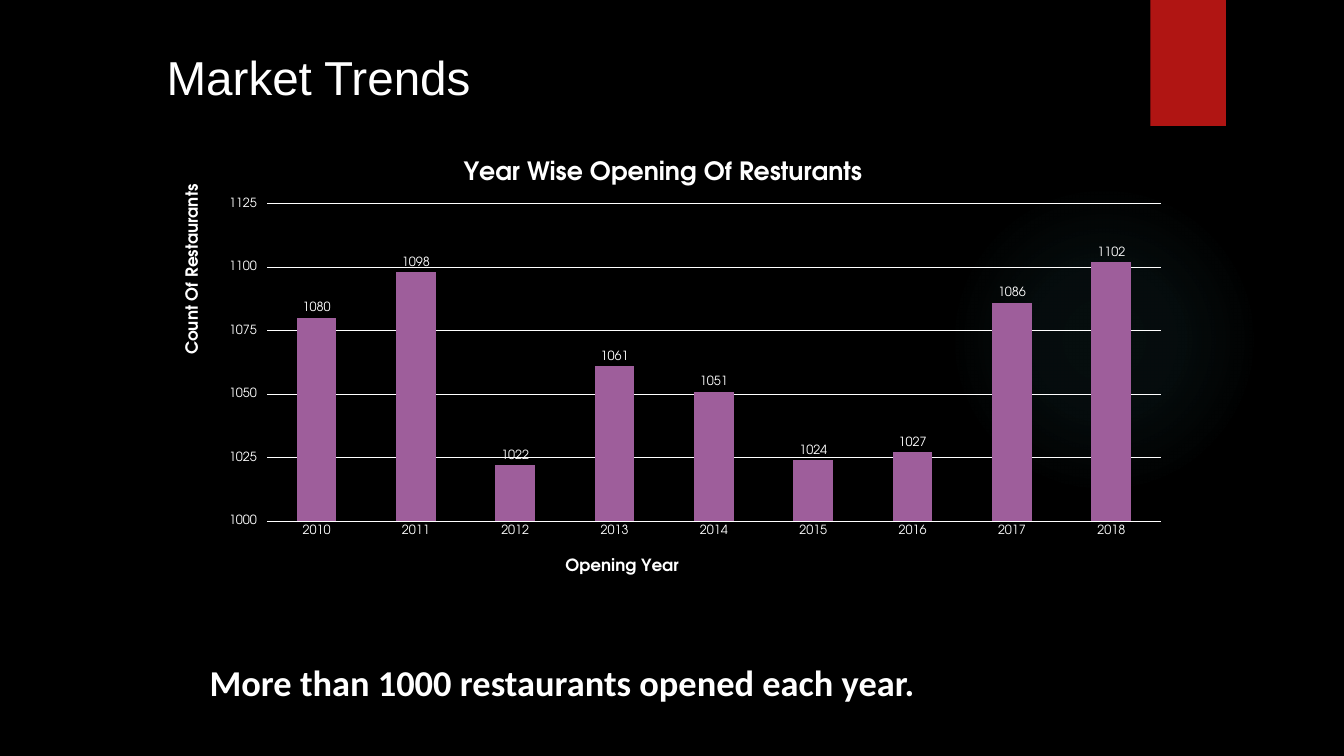
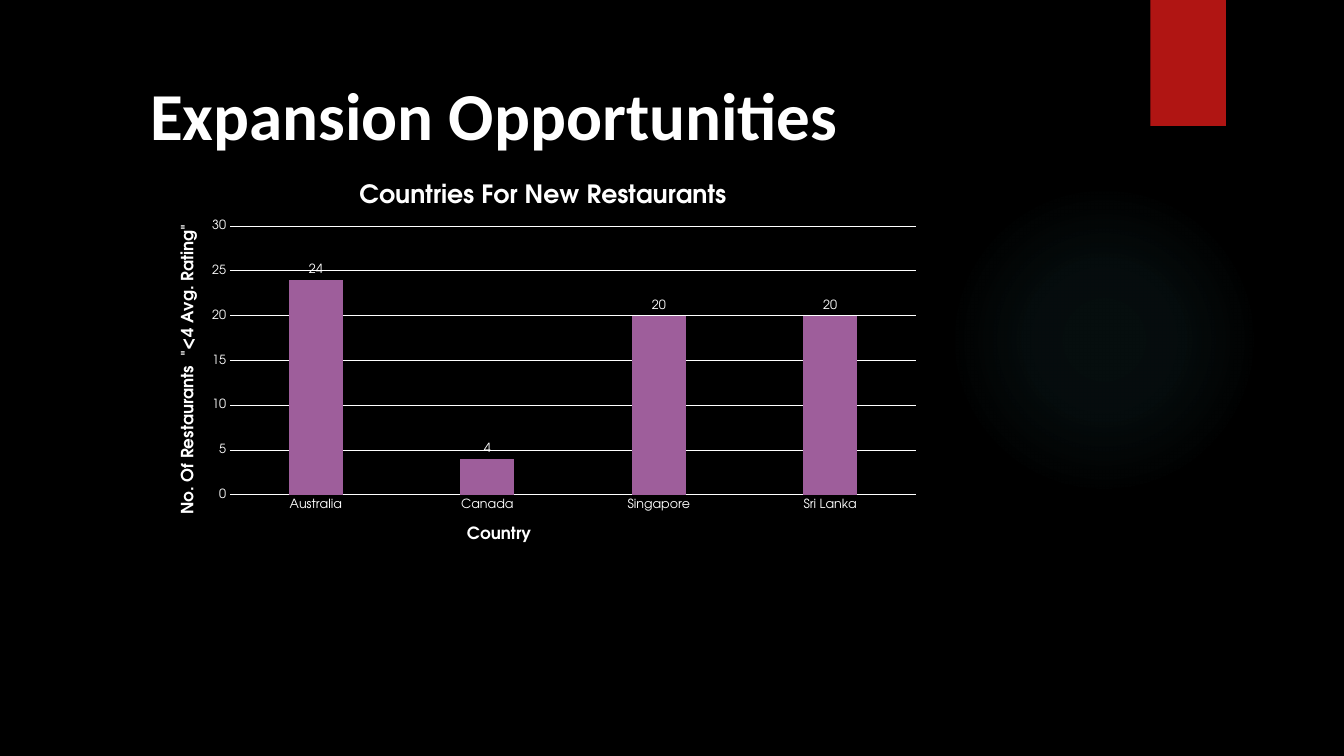
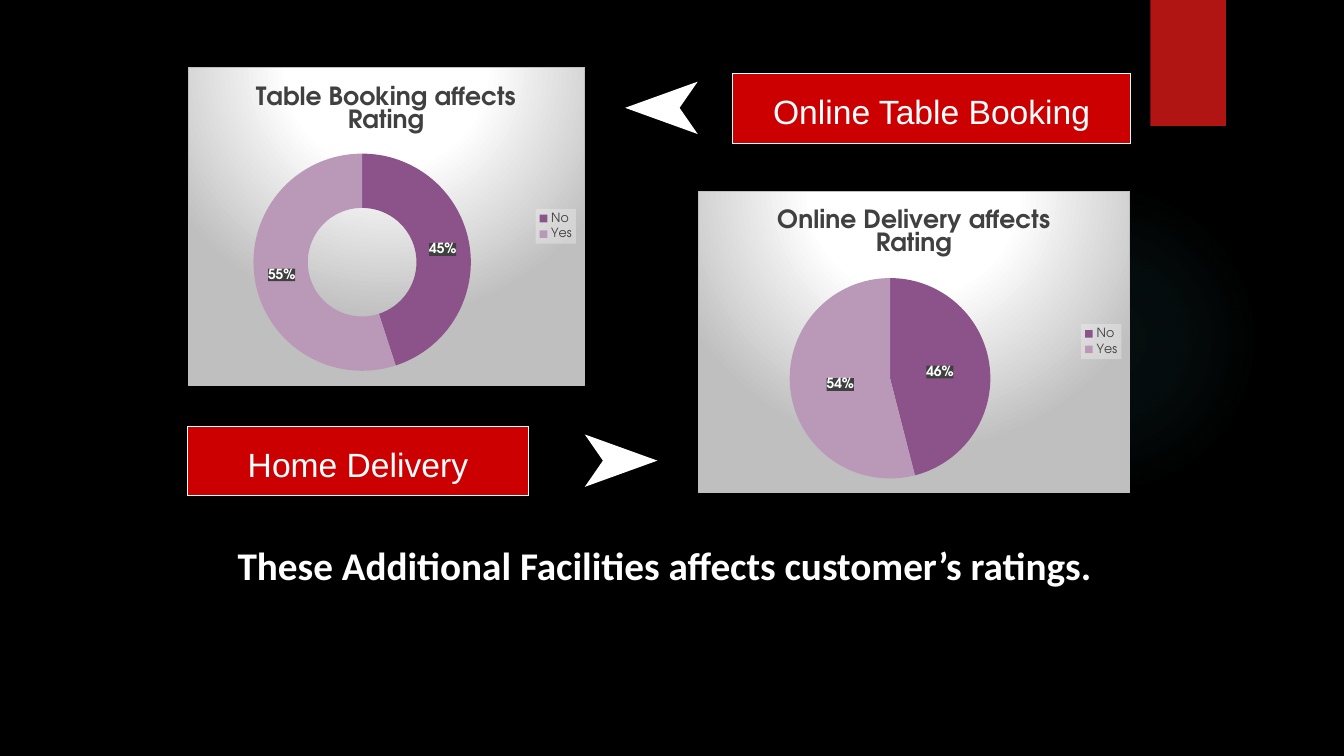
from lxml import etree
from pptx import Presentation
from pptx import util as u
from pptx.chart import data as chart_data
from pptx.dml import color as dml
from pptx.enum import chart as kinds
from pptx.enum import shapes, text
from pptx.oxml import ns

WHITE, BLACK, INK = "FFFFFF", "000000", "404040"
RIBBON, LABEL_RED, GLOW = "B01513", "CC0000", "50B9C1"
BAR, SLICES, CARD_EDGE = "9E5E9B", ("8C538A", "BA99B8"), "BFBFBF"
SANS, BODY, CHART_FONT = "Arial", "Calibri", "TeX Gyre Adventor"
A_NS = "http://schemas.openxmlformats.org/drawingml/2006/main"
C_NS = "http://schemas.openxmlformats.org/drawingml/2006/chart"


# ---- Shared helpers ----
def rgb(value):
    return dml.RGBColor.from_string(value)


def inches(box):
    return [u.Inches(length) for length in box]


def xml(markup):
    """Parse a fragment that uses the a: and c: prefixes."""
    root = etree.fromstring(f'<r xmlns:a="{A_NS}" xmlns:c="{C_NS}">{markup}</r>')
    return root[0]


def solid(value, alpha):
    return (f'<a:solidFill><a:srgbClr val="{value}"><a:alpha val="{alpha * 1000}"/>'
            '</a:srgbClr></a:solidFill>')


def radial(stops, top=50, bottom=50):
    """Circular gradient; stops are (position, colour, opacity) in percent."""
    marks = "".join(
        f'<a:gs pos="{place * 1000}"><a:srgbClr val="{value}">'
        f'<a:alpha val="{alpha * 1000}"/></a:srgbClr></a:gs>'
        for place, value, alpha in stops)
    return (f'<a:gradFill><a:gsLst>{marks}</a:gsLst><a:path path="circle">'
            f'<a:fillToRect l="50000" t="{top * 1000}" r="50000" b="{bottom * 1000}"/>'
            '</a:path></a:gradFill>')


def style_font(font, size, value=WHITE, bold=False, name=CHART_FONT):
    font.size, font.bold, font.name = u.Pt(size), bold, name
    font.color.rgb = rgb(value)


def write(frame, words, size, name, bold=False, align="CENTER", anchor="MIDDLE",
          spacing=None, top_inset=0.1):
    frame.word_wrap = True
    frame.auto_size = text.MSO_AUTO_SIZE.NONE
    frame.vertical_anchor = getattr(text.MSO_ANCHOR, anchor)
    frame.margin_left = frame.margin_right = frame.margin_bottom = u.Inches(0.1)
    frame.margin_top = u.Inches(top_inset)
    para = frame.paragraphs[0]
    para.alignment = getattr(text.PP_ALIGN, align)
    para.line_spacing = spacing
    span = para.add_run()
    span.text = words
    style_font(span.font, size, bold=bold, name=name)
    return para


def add_plain(page, kind, box, fill=None, line=None):
    shape = page.shapes.add_shape(kind, *inches(box))
    shape.shadow.inherit = False
    if fill:
        shape.fill.solid()
        shape.fill.fore_color.rgb = rgb(fill)
    else:
        shape.fill.background()
    if line:
        shape.line.color.rgb = rgb(line)
        shape.line.width = u.Pt(0.75)
    else:
        shape.line.fill.background()
    return shape


# ---- Master: black ground, glow and ribbon ----
def decorate_master(deck, page):
    master = deck.slide_master
    master.background.fill.solid()
    master.background.fill.fore_color.rgb = rgb(BLACK)

    glow = add_plain(page, shapes.MSO_SHAPE.OVAL, (9.41, 1.83, 3.08, 3.08))
    empty = glow.element.spPr.find(ns.qn("a:noFill"))
    empty.getparent().replace(
        empty, xml(radial([(0, GLOW, 7), (36, GLOW, 6), (69, GLOW, 0)])))

    ribbon = add_plain(page, shapes.MSO_SHAPE.RECTANGLE, (11.41, 0, 0.75, 1.25), RIBBON)
    effects = ribbon.element.spPr.find(ns.qn("a:effectLst"))
    effects.append(xml(
        f'<a:outerShdw blurRad="{u.Pt(3)}" dist="{u.Pt(2)}" dir="5400000">'
        f'<a:srgbClr val="{BLACK}"><a:alpha val="45000"/></a:srgbClr></a:outerShdw>'))

    for shape in (glow, ribbon):
        master.shapes.element.append(shape.element)


# ---- Text parts ----
def add_title(page, box, words, size, name, **style):
    title = page.shapes.title
    title.left, title.top, title.width, title.height = inches(box)
    write(title.text_frame, words, size, name, **style)


def add_caption(page, box, words, size, indent=0, **style):
    caption = page.shapes.add_textbox(*inches(box))
    para = write(caption.text_frame, words, size, BODY, bold=True, spacing=1.15, **style)
    if indent:
        props = para._p.get_or_add_pPr()
        props.set("marL", str(u.Inches(indent)))
        props.set("indent", "0")


def add_label(page, box, words):
    label = add_plain(page, shapes.MSO_SHAPE.RECTANGLE, box, LABEL_RED, WHITE)
    write(label.text_frame, words, 24, SANS, spacing=1.15)


def add_arrow(page, box, points_left):
    """Notched arrowhead filling the box."""
    left, top, width, height = box
    tail, tip, notch = left, left + width, left + width / 4
    if points_left:
        tail, tip, notch = tip, tail, tip - width / 4
    middle = top + height / 2
    outline = [(notch, middle), (tail, top + height), (tip, middle)]
    builder = page.shapes.build_freeform(u.Inches(tail), u.Inches(top))
    builder.add_line_segments([inches(point) for point in outline], close=True)
    arrow = builder.convert_to_shape()
    arrow.shadow.inherit = False
    arrow.fill.solid()
    arrow.fill.fore_color.rgb = rgb(WHITE)
    arrow.line.fill.background()


# ---- Chart parts ----
def lay_out(part, index, x, y, w=None, h=None):
    """Fix a chart part at fractions of the chart area."""
    for old in part.findall(ns.qn("c:layout")):
        part.remove(old)
    target = '<c:layoutTarget val="inner"/>' if w else ""
    sizes = f'<c:w val="{w}"/><c:h val="{h}"/>' if w else ""
    part.insert(index, xml(
        f'<c:layout><c:manualLayout>{target}<c:xMode val="edge"/><c:yMode val="edge"/>'
        f'<c:x val="{x}"/><c:y val="{y}"/>{sizes}</c:manualLayout></c:layout>'))


def write_chart_title(title, words, size, value=WHITE, at=None):
    span = title.text_frame.paragraphs[0].add_run()
    span.text = words
    style_font(span.font, size, value, bold=True)
    if at:
        lay_out(title._element, 1, *at)


def add_base_chart(page, kind, box, categories, values, title, plot_at,
                   title_at=None, title_color=WHITE):
    table = chart_data.CategoryChartData()
    table.categories = categories
    table.add_series("Series 1", values)
    chart = page.shapes.add_chart(kind, *inches(box), table).chart
    style_font(chart.font, 10)
    chart.has_title = True
    write_chart_title(chart.chart_title, title, 18, title_color, title_at)
    lay_out(chart.element.find(".//" + ns.qn("c:plotArea")), 0, *plot_at)
    chart.plots[0].has_data_labels = True
    return chart


def add_column_chart(page, box, categories, values, title, category_title, value_title,
                     scale, gap, overlap, places, tick="NONE"):
    """places holds the spots of plot, title, category title and value title."""
    plot_at, title_at, category_at, value_at = places
    chart = add_base_chart(page, kinds.XL_CHART_TYPE.COLUMN_CLUSTERED, box,
                           categories, values, title, plot_at, title_at)
    chart.has_legend = False
    plot = chart.plots[0]
    plot.vary_by_categories = False
    plot.gap_width, plot.overlap = gap, overlap
    fill = plot.series[0].format.fill
    fill.solid()
    fill.fore_color.rgb = rgb(BAR)
    labels = plot.data_labels
    labels.show_value = True
    labels.position = kinds.XL_LABEL_POSITION.OUTSIDE_END
    style_font(labels.font, 9)

    titles = ((chart.category_axis, category_title, category_at),
              (chart.value_axis, value_title, value_at))
    for axis, words, spot in titles:
        style_font(axis.tick_labels.font, 9)
        axis.major_tick_mark = kinds.XL_TICK_MARK.NONE
        axis.has_title = True
        write_chart_title(axis.axis_title, words, 12, at=spot)
    axis = chart.value_axis
    axis.major_tick_mark = getattr(kinds.XL_TICK_MARK, tick)
    axis.minimum_scale, axis.maximum_scale, axis.major_unit = scale
    axis.format.line.fill.background()
    axis.has_major_gridlines = True
    for line in (axis.major_gridlines.format.line, chart.category_axis.format.line):
        line.color.rgb = rgb(WHITE)
        line.width = u.Pt(0.75)
    turn = axis.axis_title._element.find(".//" + ns.qn("a:bodyPr"))
    turn.set("rot", "-5400000")
    turn.set("vert", "horz")


def add_share_chart(page, kind, box, values, title, plot_at, label_place=None):
    """Pie or doughnut on a grey gradient card."""
    chart = add_base_chart(page, kind, box, ("No", "Yes"), values, title, plot_at,
                           title_color=INK)
    card = (radial([(0, WHITE, 100), (39, WHITE, 100), (100, CARD_EDGE, 100)], -80, 180)
            + f'<a:ln w="{u.Pt(0.75)}">{solid(CARD_EDGE, 100)}</a:ln>')
    chart.element.find(ns.qn("c:chart")).addnext(xml(f"<c:spPr>{card}</c:spPr>"))

    plot = chart.plots[0]
    plot.vary_by_categories = True
    for index, value in enumerate(SLICES):
        point = plot.series[0].points[index].format
        point.fill.solid()
        point.fill.fore_color.rgb = rgb(value)
        point.line.fill.background()

    labels = plot.data_labels
    labels.show_percentage, labels.show_value = True, False
    labels.number_format, labels.number_format_is_linked = "0%", False
    style_font(labels.font, 10, bold=True)
    if label_place:
        labels.position = label_place
    labels._element.find(ns.qn("c:numFmt")).addnext(
        xml(f"<c:spPr>{solid(BLACK, 75)}</c:spPr>".replace(BLACK, INK)))

    chart.has_legend = True
    legend = chart.legend
    legend.position = kinds.XL_LEGEND_POSITION.RIGHT
    legend.include_in_layout = False
    style_font(legend.font, 9, INK)
    legend._element.find(ns.qn("c:txPr")).addprevious(
        xml(f'<c:spPr>{solid("F2F2F2", 39)}</c:spPr>'))


# ---- Slides ----
def build_trends(page):
    add_title(page, (0.74, 0.31, 4.84, 0.9), "Market Trends", 34, SANS)
    add_column_chart(
        page, (1.48, 1.35, 10.24, 4.51), [str(year) for year in range(2010, 2019)],
        (1080, 1098, 1022, 1061, 1051, 1024, 1027, 1086, 1102),
        "Year Wise Opening Of Resturants", "Opening Year", "Count Of Restaurants",
        scale=(1000, 1125, 25), gap=150, overlap=0, tick="OUTSIDE",
        places=((0.114, 0.149, 0.866, 0.698), (0.3, 0.04), (0.4, 0.92), (0.03, 0.1)))
    add_caption(page, (1.48, 6.38, 10.24, 0.59),
                "More than 1000 restaurants opened each year.", 26,
                indent=0.5, align="JUSTIFY", anchor="TOP")


def build_expansion(page):
    add_title(page, (0.96, 0.31, 7.88, 1.29), "Expansion Opportunities", 47.9, BODY,
              bold=True, anchor="TOP", top_inset=0.42)
    add_column_chart(
        page, (1.51, 1.6, 7.73, 3.97), ("Australia", "Canada", "Singapore", "Sri Lanka"),
        (24, 4, 20, 20), "Countries For New Restaurants", "Country",
        'No. Of Restaurants  "<4 Avg. Rating"',
        scale=(0, 30, 5), gap=219, overlap=-27,
        places=((0.1, 0.162, 0.88, 0.672), (0.26, 0.04), (0.4, 0.9), (0.03, 0.15)))


def build_facilities(page):
    add_label(page, (7.27, 0.73, 3.94, 0.69), "Online Table Booking")
    add_arrow(page, (6.2, 0.81, 0.72, 0.52), points_left=True)
    add_label(page, (1.86, 4.23, 3.38, 0.69), "Home Delivery")
    add_arrow(page, (5.8, 4.31, 0.72, 0.52), points_left=False)
    add_caption(page, (2.09, 5.31, 9, 0.52),
                "These Additional Facilities affects customer’s ratings.", 28)
    add_share_chart(page, kinds.XL_CHART_TYPE.PIE, (6.92, 1.89, 4.29, 3), (46, 54),
                    "Online Delivery affects Rating", (0.212, 0.289, 0.465, 0.665),
                    kinds.XL_LABEL_POSITION.CENTER)
    add_share_chart(page, kinds.XL_CHART_TYPE.DOUGHNUT, (1.86, 0.66, 3.94, 3.17), (45, 55),
                    "Table Booking affects Rating", (0.165, 0.272, 0.549, 0.682))


def main():
    deck = Presentation()
    deck.slide_width, deck.slide_height = u.Inches(13.33), u.Inches(7.5)
    title_only, blank = deck.slide_layouts[5], deck.slide_layouts[6]
    plan = ((title_only, build_trends), (title_only, build_expansion),
            (blank, build_facilities))
    for number, (layout, build) in enumerate(plan):
        page = deck.slides.add_slide(layout)
        if number == 0:
            decorate_master(deck, page)
        build(page)
    deck.save("out.pptx")


if __name__ == "__main__":
    main()
